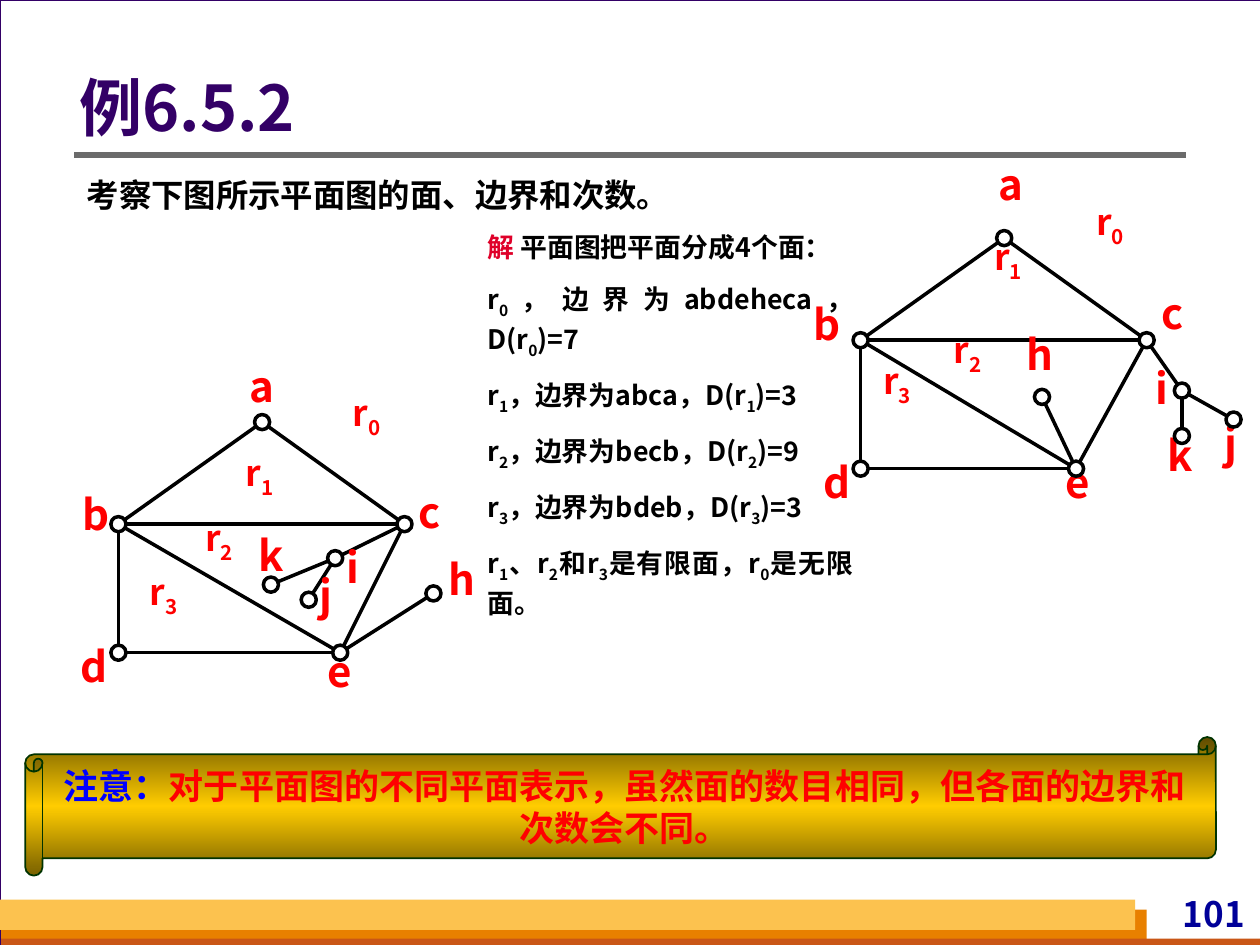
import copy

import pptx
import pptx.dml.color
import pptx.enum.shapes
import pptx.enum.text
import pptx.oxml
import pptx.oxml.ns
import pptx.util

# The grid: 1000 columns by 750 rows of square cells
COLUMNS, ROWS = 1000, 750
WIDTH, HEIGHT = pptx.util.Inches(10), pptx.util.Inches(7.5)

FONT = "Noto Sans CJK SC"
BLACK, WHITE, RED, PURPLE = "000000", "FFFFFF", "FF0000", "330066"
NODE_SIZE = 12
LABEL_SIZE = (47, 40)

ALIGN = pptx.enum.text.PP_ALIGN
ANCHOR = pptx.enum.text.MSO_ANCHOR
SHAPE = pptx.enum.shapes.MSO_SHAPE

# Each drawing: vertex -> (node centre, label centre), faces and edges
LEFT_GRAPH = {
    "vertices": {
        "a": ((208, 335), (208, 306)), "b": ((94, 416), (76, 408)),
        "c": ((321, 416), (341, 406)), "d": ((94, 518), (75, 528)),
        "e": ((270, 518), (270, 532)), "h": ((344, 471), (367, 459)),
        "i": ((266, 443), (280, 450)), "j": ((245, 476), (259, 472)),
        "k": ((215, 464), (215, 440)),
    },
    "faces": [(291, 331), (206, 378), (174, 430), (130, 473)],
}
RIGHT_GRAPH = {
    "vertices": {
        "a": ((797, 189), (802, 146)), "b": ((683, 270), (656, 257)),
        "c": ((910, 270), (931, 248)), "d": ((683, 372), (664, 382)),
        "e": ((854, 372), (855, 382)), "h": ((827, 315), (825, 281)),
        "i": ((938, 310), (922, 308)), "j": ((979, 333), (977, 351)),
        "k": ((938, 346), (937, 361)),
    },
    "faces": [(881, 179), (800, 207), (768, 281), (712, 305)],
}
EDGES = "ab ac bc bd be ce de eh ci ij ik".split()


def x(columns):
    return round(WIDTH * columns / COLUMNS)


def y(rows):
    return round(HEIGHT * rows / ROWS)


def grid_box(left, top, width, height):
    return x(left), y(top), x(width), y(height)


def color(hex_string):
    return pptx.dml.color.RGBColor.from_string(hex_string)


def add_run(paragraph, text, size, hex_string, subscript=False):
    run = paragraph.add_run()
    run.text = text
    run.font.size = pptx.util.Pt(size)
    run.font.bold = True
    run.font.name = FONT
    run.font.color.rgb = color(hex_string)
    properties = run._r.get_or_add_rPr()
    if subscript:
        properties.set("baseline", "-25000")
    east_asian = properties.makeelement(pptx.oxml.ns.qn("a:ea"), {"typeface": FONT})
    properties.find(pptx.oxml.ns.qn("a:latin")).addnext(east_asian)


def add_marked_text(paragraph, text, size, hex_string):
    """The character after each underscore is set as a subscript."""
    first, *rest = text.split("_")
    if first:
        add_run(paragraph, first, size, hex_string)
    for part in rest:
        add_run(paragraph, part[0], size, hex_string, subscript=True)
        if part[1:]:
            add_run(paragraph, part[1:], size, hex_string)


def fill_text(shape, paragraphs, size, align, spacing=None, space_before=0,
              anchor=ANCHOR.TOP, insets=(10, 5)):
    """Each paragraph is a list of (text, colour) pairs."""
    frame = shape.text_frame
    frame.word_wrap = True
    frame.vertical_anchor = anchor
    frame.margin_left = frame.margin_right = x(insets[0])
    frame.margin_top = frame.margin_bottom = y(insets[1])
    for index, pieces in enumerate(paragraphs):
        paragraph = frame.add_paragraph() if index else frame.paragraphs[0]
        paragraph.alignment = align
        if spacing:
            paragraph.line_spacing = spacing
        if index:
            paragraph.space_before = pptx.util.Pt(space_before)
        for text, hex_string in pieces:
            add_marked_text(paragraph, text, size, hex_string)


def add_text(shapes, box, paragraphs, size, align, **options):
    fill_text(shapes.add_textbox(*grid_box(*box)), paragraphs, size, align, **options)


def add_shape(shapes, kind, box, fill=None, line=None, line_width=1):
    shape = shapes.add_shape(kind, *grid_box(*box))
    shape.shadow.inherit = False
    if fill:
        shape.fill.solid()
        shape.fill.fore_color.rgb = color(fill)
    if line:
        shape.line.color.rgb = color(line)
        shape.line.width = pptx.util.Pt(line_width)
    else:
        shape.line.fill.background()
    return shape


def add_line(shapes, start, end, hex_string, width):
    line = shapes.add_connector(pptx.enum.shapes.MSO_CONNECTOR.STRAIGHT,
                                x(start[0]), y(start[1]), x(end[0]), y(end[1]))
    line.line.color.rgb = color(hex_string)
    line.line.width = pptx.util.Pt(width)
    properties = line._element.spPr
    properties.append(properties.makeelement(pptx.oxml.ns.qn("a:effectLst"), {}))


def centred_box(centre, width, height):
    return centre[0] - width / 2, centre[1] - height / 2, width, height


def add_label(shapes, text, centre, size, spacing=None):
    add_text(shapes, centred_box(centre, *LABEL_SIZE), [[(text, RED)]], size,
             ALIGN.CENTER, spacing=spacing, insets=(0, 0))


def add_graph(slide, vertices, faces):
    shapes = slide.shapes.add_group_shape().shapes
    for start, end in EDGES:
        add_line(shapes, vertices[start][0], vertices[end][0], BLACK, 2)
    for name, (_, label_centre) in vertices.items():
        add_label(shapes, name, label_centre, 24)
    for node_centre, _ in vertices.values():
        add_shape(shapes, SHAPE.OVAL, centred_box(node_centre, NODE_SIZE, NODE_SIZE),
                  WHITE, BLACK, 2)
    for index, centre in enumerate(faces):
        add_label(shapes, f"r_{index}", centre, 20.4, spacing=0.9)


def add_frame(slide):
    slide.background.fill.solid()
    slide.background.fill.fore_color.rgb = color("D8DADA")
    add_shape(slide.shapes, SHAPE.RECTANGLE, (0, 0, 1001, 750), WHITE, PURPLE, 0.75)
    for box, fill in (((1, 722, 909, 28), "E88000"),
                      ((1, 745, 1000, 8), "C95616"),
                      ((0, 714, 901, 24), "FCC24F")):
        add_shape(slide.shapes, SHAPE.RECTANGLE, box, fill)
    add_text(slide.shapes, (870, 708, 122, 33), [[("101", "000099")]], 20,
             ALIGN.RIGHT, insets=(4, 0))
    add_line(slide.shapes, (59, 123), (941, 123), "6B6B6B", 3)


def add_explanation(slide):
    faces = [("abdeheca", 7), ("abca", 3), ("becb", 9), ("bdeb", 3)]
    paragraphs = [[("解 ", "DF0029"), ("平面图把平面分成4个面：", BLACK)]]
    for index, (boundary, degree) in enumerate(faces):
        text = f"r_{index}，边界为{boundary}，D(r_{index})={degree}"
        paragraphs.append([(text, BLACK)])
    paragraphs.append([("r_1、r_2和r_3是有限面，r_0是无限面。", BLACK)])
    add_text(slide.shapes, (377, 176, 310, 331), paragraphs, 15.3, ALIGN.JUSTIFY,
             spacing=1.1, space_before=9)


def add_scroll(slide):
    scroll = add_shape(slide.shapes, SHAPE.HORIZONTAL_SCROLL, (20, 585, 945, 110),
                       line="003300")
    scroll.fill.gradient()
    scroll.fill.gradient_angle = 270
    stop_list = scroll._element.spPr.find(".//" + pptx.oxml.ns.qn("a:gsLst"))
    stop_list.append(copy.deepcopy(stop_list[0]))
    stops = ((0, "786000"), (0.5, "FFCC00"), (1, "786000"))
    for stop, (position, hex_string) in zip(scroll.fill.gradient_stops, stops):
        stop.position = position
        stop.color.rgb = color(hex_string)
    note = "对于平面图的不同平面表示，虽然面的数目相同，但各面的边界和次数会不同。"
    fill_text(scroll, [[("注意：", "0000FF"), (note, RED)]], 20, ALIGN.CENTER,
              anchor=ANCHOR.MIDDLE)


def main():
    presentation = pptx.Presentation()
    presentation.slide_width, presentation.slide_height = WIDTH, HEIGHT
    slide = presentation.slides.add_slide(presentation.slide_layouts[6])

    # Frame, title and task
    add_frame(slide)
    add_text(slide.shapes, (59, 38, 882, 101), [[("例6.5.2", PURPLE)]], 36,
             ALIGN.LEFT, spacing=0.9, anchor=ANCHOR.MIDDLE, insets=(4, 0))
    add_text(slide.shapes, (59, 134, 882, 43),
             [[("考察下图所示平面图的面、边界和次数。", BLACK)]], 18.5, ALIGN.JUSTIFY)

    # Two drawings of the graph, with the solution and the remark
    add_graph(slide, **LEFT_GRAPH)
    add_explanation(slide)
    add_scroll(slide)
    add_graph(slide, **RIGHT_GRAPH)

    presentation.save("out.pptx")


if __name__ == "__main__":
    main()
